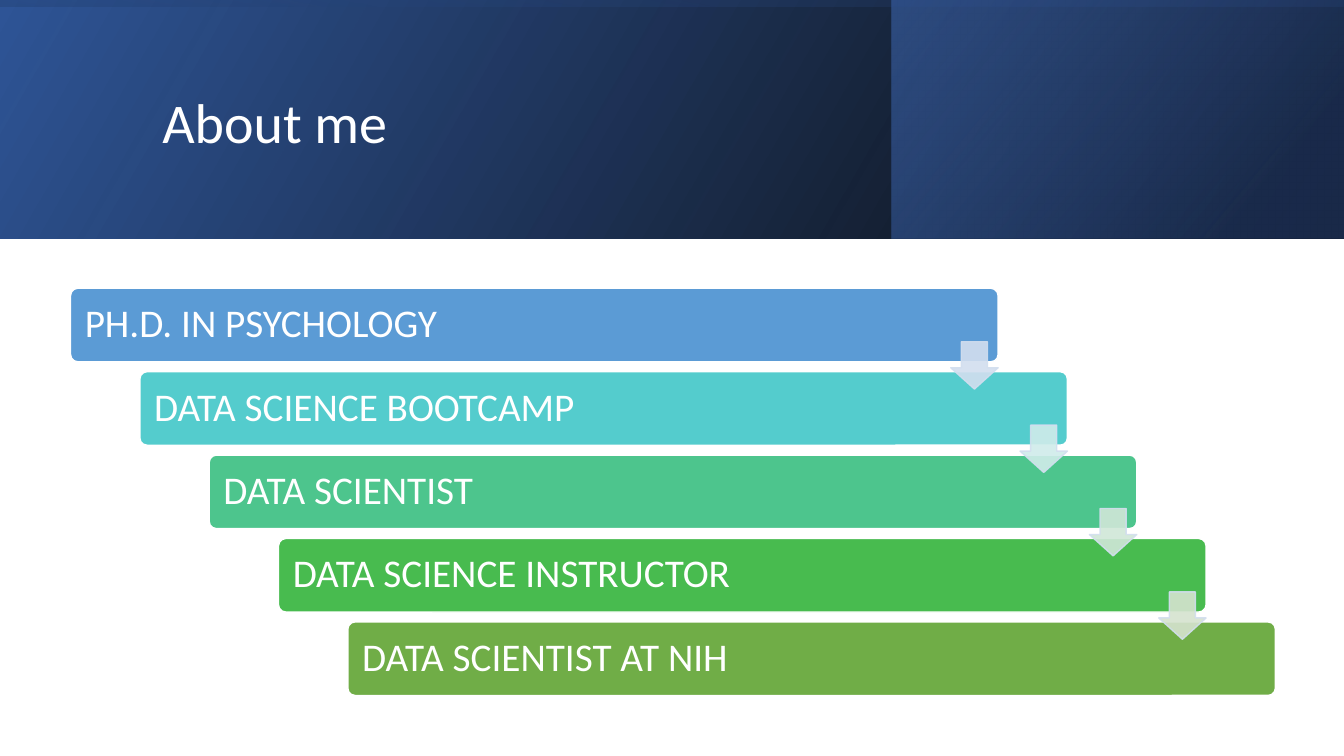
import lxml.etree
import pptx
import pptx.dml.color
import pptx.enum.shapes
import pptx.enum.text
import pptx.oxml
import pptx.oxml.ns
import pptx.util

Inches = pptx.util.Inches
SHAPES = pptx.enum.shapes.MSO_SHAPE
WHITE = "FFFFFF"
ARROW_LINE = "D2DEEF"

# Career steps: wording, bar colour, colour of the arrow to the next step
STEPS = [
    ("PH.D. IN PSYCHOLOGY", "5B9BD5", "D2DEEF"),
    ("DATA SCIENCE BOOTCAMP", "54CCCD", "D0ECEA"),
    ("DATA SCIENTIST", "4DC58D", "D0E7D8"),
    ("DATA SCIENCE INSTRUCTOR", "48BB4F", "D5E3CF"),
    ("DATA SCIENTIST AT NIH", "70AD47", None),
]


def color(value):
    return pptx.dml.color.RGBColor.from_string(value)


def add_shape(slide, kind, left, top, width, height):
    shape = slide.shapes.add_shape(
        kind, Inches(left), Inches(top), Inches(width), Inches(height))
    shape.shadow.inherit = False
    return shape


def paint(shape, fill, line, opacity=100):
    shape.fill.solid()
    shape.fill.fore_color.rgb = color(fill)
    shape.line.color.rgb = color(line)
    shape.line.width = pptx.util.Pt(1)
    if opacity < 100:
        for element in shape._element.spPr.iter(pptx.oxml.ns.qn("a:srgbClr")):
            alpha = lxml.etree.SubElement(element, pptx.oxml.ns.qn("a:alpha"))
            alpha.set("val", str(opacity * 1000))


def format_text(text_frame, size):
    text_frame.vertical_anchor = pptx.enum.text.MSO_ANCHOR.MIDDLE
    text_frame.word_wrap = True
    paragraph = text_frame.paragraphs[0]
    paragraph.alignment = pptx.enum.text.PP_ALIGN.LEFT
    paragraph.line_spacing = 0.9
    font = paragraph.runs[0].font
    font.name = "Calibri"
    font.size = pptx.util.Pt(size)
    font.color.rgb = color(WHITE)


def add_gradient_panel(slide, box, stops, angle, rotation=0):
    """Mirrored rectangle; each stop is position, colour and opacity in percent."""
    panel = add_shape(slide, SHAPES.RECTANGLE, *box)
    panel.rotation = rotation
    panel.line.fill.background()
    properties = panel._element.spPr
    properties.xfrm.set("flipH", "1")
    stop_xml = "".join(
        f'<a:gs pos="{position * 1000}"><a:srgbClr val="{value}">'
        f'<a:alpha val="{opacity * 1000}"/></a:srgbClr></a:gs>'
        for position, value, opacity in stops)
    gradient = pptx.oxml.parse_xml(
        f'<a:gradFill {pptx.oxml.ns.nsdecls("a")} rotWithShape="1">'
        f'<a:gsLst>{stop_xml}</a:gsLst>'
        f'<a:lin ang="{angle * 60000}" scaled="0"/></a:gradFill>')
    properties.prstGeom.addnext(gradient)


def add_banner(slide, left, top, width, height):
    # Base, right-hand panel, and a shade turned a quarter circle over the base
    add_gradient_panel(slide, (left, top, width, height),
                       [(0, "000000", 96), (100, "2F5597", 100)], 330)
    add_gradient_panel(slide, (left + 8.84, top, width - 8.84, height),
                       [(19, "203864", 68), (100, "4472C4", 48)], 320)
    turned_box = (left + (width - height) / 2, top + (height - width) / 2, height, width)
    add_gradient_panel(slide, turned_box,
                       [(23, "2F5597", 16), (99, "000000", 45)], 350, rotation=270)

    # Title in front of the panels
    title = slide.shapes.title
    title.left, title.top = Inches(left + 1.51), Inches(top + 0.38)
    title.width, title.height = Inches(10.63), Inches(1.72)
    title.text_frame.text = "About me"
    title.text_frame.auto_size = pptx.enum.text.MSO_AUTO_SIZE.NONE
    format_text(title.text_frame, 40)
    slide.shapes._spTree.append(title._element)


def add_staircase(slide, left, top, width, height):
    bar_width, bar_height, arrow_size = 9.2, 0.73, 0.47
    step_x = (width - bar_width) / (len(STEPS) - 1)
    step_y = (height - bar_height) / (len(STEPS) - 1)

    # Bars
    for index, (wording, fill, _) in enumerate(STEPS):
        bar = add_shape(slide, SHAPES.ROUNDED_RECTANGLE, left + index * step_x,
                        top + index * step_y, bar_width, bar_height)
        bar.adjustments[0] = 0.1
        paint(bar, fill, WHITE)
        bar.text_frame.text = wording
        bar.text_frame.margin_left = Inches(0.12)
        format_text(bar.text_frame, 28)

    # Arrows over the gaps, flush with the right end of the upper bar
    for index, (_, _, fill) in enumerate(STEPS[:-1]):
        arrow = add_shape(slide, SHAPES.DOWN_ARROW,
                          left + index * step_x + bar_width - arrow_size,
                          top + index * step_y + 0.53, arrow_size, arrow_size)
        arrow.adjustments[0] = 0.55
        arrow.adjustments[1] = 0.45
        paint(arrow, fill, ARROW_LINE, opacity=90)


def main():
    presentation = pptx.Presentation()
    presentation.slide_width = Inches(13.33)
    presentation.slide_height = Inches(7.5)
    slide = presentation.slides.add_slide(presentation.slide_layouts[5])
    add_banner(slide, 0, 0, 13.33, 2.37)
    add_staircase(slide, 0.7, 2.86, 11.95, 4.04)
    presentation.save("out.pptx")


if __name__ == "__main__":
    main()
